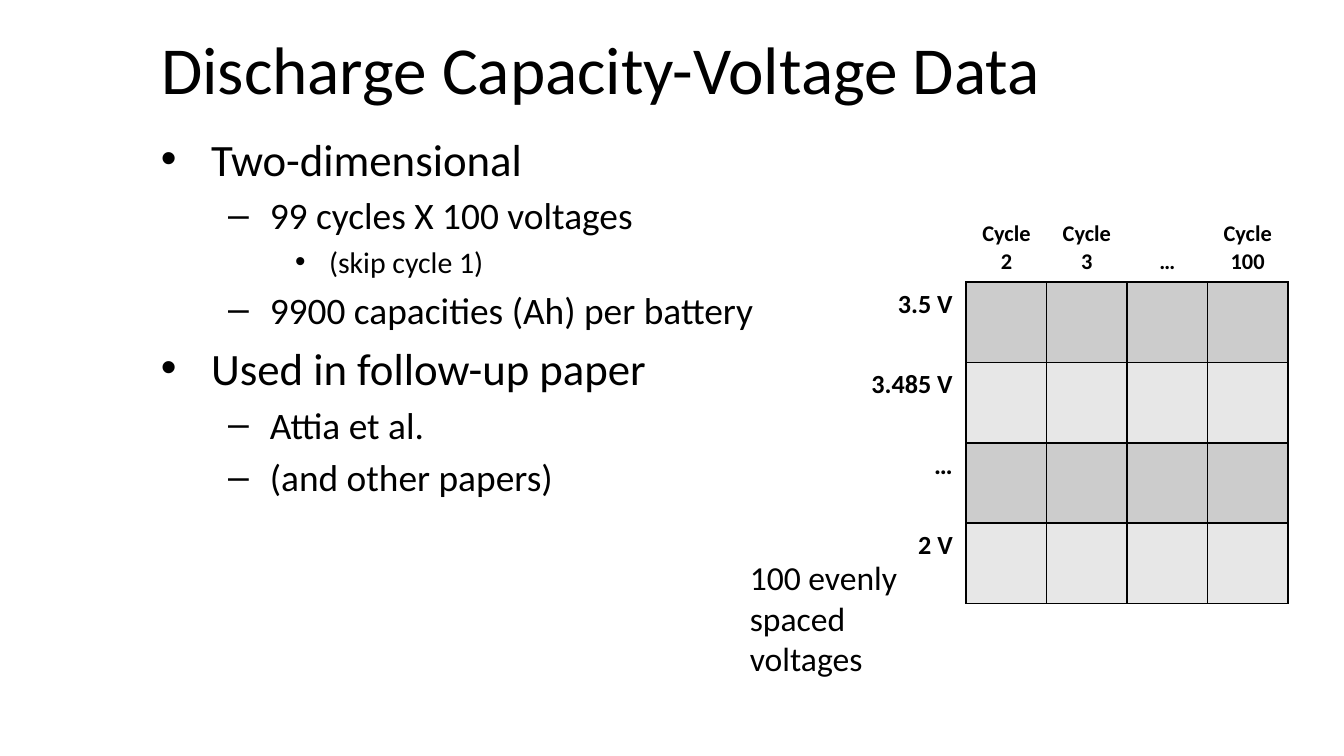
from dataclasses import dataclass

from lxml.etree import SubElement
from pptx import Presentation
from pptx.dml.color import RGBColor
from pptx.enum.text import MSO_ANCHOR, PP_ALIGN
from pptx.oxml.ns import qn
from pptx.util import Cm, Pt


@dataclass(frozen=True)
class Theme:
    font: str = "Calibri"
    ink: str = "000000"
    paper: str = "FFFFFF"
    bands: tuple = ("CCCCCC", "E7E7E7")
    title: int = 36
    levels: tuple = (24, 20, 16)
    note: int = 18
    column_label: int = 12
    row_label: int = 14


THEME = Theme()
BULLETS = (("•", 0.95, 0.95), ("–", 2.06, 0.79), ("•", 3.18, 0.64))
OUTLINE = (
    (0, "Two-dimensional"),
    (1, "99 cycles X 100 voltages"),
    (2, "(skip cycle 1)"),
    (1, "9900 capacities (Ah) per battery"),
    (0, "Used in follow-up paper"),
    (1, "Attia et al."),
    (1, "(and other papers)"),
)
CYCLES = ("Cycle 2", "Cycle 3", "…", "Cycle 100")
VOLTAGES = ("3.5 V", "3.485 V", "…", "2 V")


def apply_format(target, values):
    for name, value in values.items():
        setattr(target, name, value)


def write(paragraph, text, size, bold=False, alignment=PP_ALIGN.LEFT):
    paragraph.alignment = alignment
    run = paragraph.add_run()
    run.text = text
    apply_format(run.font, {"name": THEME.font, "size": Pt(size), "bold": bold})
    run.font.color.rgb = RGBColor.from_string(THEME.ink)


def add_title(slide, text):
    title = slide.shapes.title
    apply_format(title, {"left": Cm(2.79), "top": Cm(0.51),
                         "width": Cm(21.21), "height": Cm(1.52)})
    apply_format(title.text_frame, {"vertical_anchor": MSO_ANCHOR.MIDDLE, "word_wrap": True})
    write(title.text_frame.paragraphs[0], text, THEME.title)


def add_bullet(paragraph, level):
    character, margin, hanging = BULLETS[level]
    properties = paragraph._p.get_or_add_pPr()
    properties.set("marL", str(Cm(margin)))
    properties.set("indent", str(-Cm(hanging)))
    SubElement(properties, qn("a:buFont"), typeface="Arial")
    SubElement(properties, qn("a:buChar"), char=character)


def add_outline(slide, items):
    frame = slide.shapes.add_textbox(Cm(2.79), Cm(2.36), Cm(21.21), Cm(9.58)).text_frame
    frame.word_wrap = True
    for index, (level, text) in enumerate(items):
        paragraph = frame.add_paragraph() if index else frame.paragraphs[0]
        paragraph.level = level
        add_bullet(paragraph, level)
        size = THEME.levels[level]
        if index:
            paragraph.space_before = Pt(size * 0.2)
        write(paragraph, text, size)


def style_cell(cell, fill, edges):
    properties = cell._tc.get_or_add_tcPr()
    for edge in "LRTB":
        line = SubElement(properties, qn(f"a:ln{edge}"), w=str(Pt(1)))
        if edge in edges:
            color = SubElement(line, qn("a:solidFill"))
            SubElement(color, qn("a:srgbClr"), val=THEME.ink)
        else:
            SubElement(line, qn("a:noFill"))
    cell.fill.solid()
    cell.fill.fore_color.rgb = RGBColor.from_string(fill)


def add_capacity_grid(slide, columns, rows):
    step = Cm(1.52)
    label_width = Cm(3.02)
    row_count, column_count = len(rows) + 1, len(columns) + 1
    table = slide.shapes.add_table(
        row_count, column_count, Cm(15.24), Cm(3.81),
        label_width + step * len(columns), step * row_count).table
    apply_format(table, {"first_row": False, "horz_banding": False})
    for index, column in enumerate(table.columns):
        column.width = step if index else label_width
    for row in table.rows:
        row.height = step

    style_cell(table.cell(0, 0), THEME.paper, "")
    for index, text in enumerate(columns, 1):
        cell = table.cell(0, index)
        style_cell(cell, THEME.paper, "B")
        cell.vertical_anchor = MSO_ANCHOR.BOTTOM
        write(cell.text_frame.paragraphs[0], text, THEME.column_label, True, PP_ALIGN.CENTER)
    for row, text in enumerate(rows, 1):
        cell = table.cell(row, 0)
        style_cell(cell, THEME.paper, "R")
        write(cell.text_frame.paragraphs[0], text, THEME.row_label, True, PP_ALIGN.RIGHT)
        for column in range(1, column_count):
            style_cell(table.cell(row, column), THEME.bands[(row - 1) % 2], "LRTB")


def add_voltage_note(slide, text):
    note = slide.shapes.add_textbox(Cm(14.4), Cm(9.93), Cm(2.82), Cm(3.78))
    note.rotation = 90
    note.text_frame.word_wrap = True
    note.text_frame._txBody.bodyPr.set("vert", "vert270")
    write(note.text_frame.paragraphs[0], text, THEME.note)


def main():
    presentation = Presentation()
    apply_format(presentation, {"slide_width": Cm(25.4), "slide_height": Cm(14.29)})
    slide = presentation.slides.add_slide(presentation.slide_layouts.get_by_name("Title Only"))
    add_title(slide, "Discharge Capacity-Voltage Data")
    add_outline(slide, OUTLINE)
    add_capacity_grid(slide, CYCLES, VOLTAGES)
    add_voltage_note(slide, "100 evenly spaced voltages")
    presentation.save("out.pptx")


if __name__ == "__main__":
    main()
